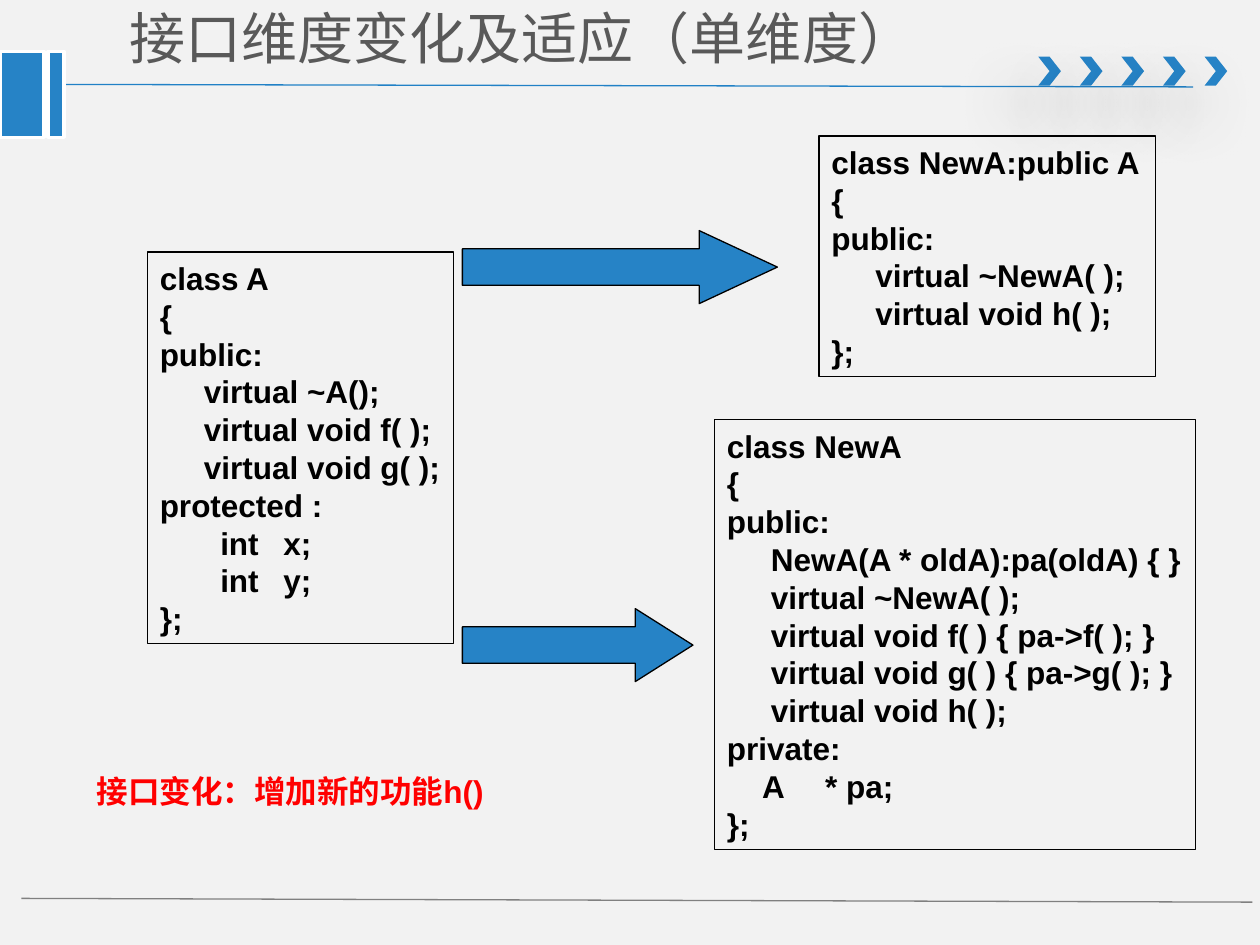
from lxml import etree
from pptx import Presentation
from pptx.dml.color import RGBColor
from pptx.enum import shapes, text
from pptx.oxml import ns
from pptx.util import Inches, Pt

BACKGROUND = RGBColor(0xF2, 0xF2, 0xF2)
BLUE = RGBColor(0x26, 0x83, 0xC6)
RULE_BLUE = RGBColor(0x21, 0x81, 0xC6)
GREY = RGBColor(0x80, 0x80, 0x80)
TITLE_GREY = RGBColor(0x59, 0x59, 0x59)
BLACK = RGBColor(0, 0, 0)
WHITE = RGBColor(0xFF, 0xFF, 0xFF)
RED = RGBColor(0xFF, 0, 0)
CJK_FONT = "Noto Sans CJK SC"
SHAPE = shapes.MSO_SHAPE

# Code lines are strings, or (text, indent) or (text, indent, tab stop) in inches
CLASS_A = [
    "class A", "{", "public:",
    ("virtual ~A();", 0.35),
    ("virtual void f( );", 0.35),
    ("virtual void g( );", 0.35),
    "protected :",
    ("int\tx;", 0.48, 1.07),
    ("int\ty;", 0.48, 1.07),
    "};",
]
NEW_A_BY_INHERITANCE = [
    "class NewA:public A", "{", "public:",
    ("virtual ~NewA( );", 0.35),
    ("virtual void h( );", 0.35),
    "};",
]
NEW_A_BY_DELEGATION = [
    "class NewA", "{", "public:",
    ("NewA(A * oldA):pa(oldA) { }", 0.35),
    ("virtual ~NewA( );", 0.35),
    ("virtual void f( ) { pa->f( ); }", 0.35),
    ("virtual void g( ) { pa->g( ); }", 0.35),
    ("virtual void h( );", 0.35),
    "private:",
    ("A\t* pa;", 0.28, 0.65),
    "};",
]


def add_child(parent, tag, **attributes):
    child = etree.SubElement(parent, ns.qn(tag))
    for name, value in attributes.items():
        child.set(name, str(value))
    return child


def write_text(paragraph, words, size=18, color=BLACK, bold=True,
               font="Arial", indent=0, tab=None):
    paragraph.alignment = text.PP_ALIGN.LEFT
    properties = paragraph._p.get_or_add_pPr()
    properties.set("marL", str(Inches(indent)))
    properties.set("indent", "0")
    if tab:
        stops = add_child(properties, "a:tabLst")
        add_child(stops, "a:tab", pos=Inches(tab), algn="l")
    run = paragraph.add_run()
    run.text = words
    run.font.size = Pt(size)
    run.font.bold = bold
    run.font.name = font
    run.font.color.rgb = color
    add_child(run._r.get_or_add_rPr(), "a:ea", typeface=CJK_FONT)


def add_block(slide, kind, left, top, width, height, fill=None, line=None, weight=0.75):
    block = slide.shapes.add_shape(
        kind, Inches(left), Inches(top), Inches(width), Inches(height))
    block.shadow.inherit = False
    if fill is None:
        block.fill.background()
    else:
        block.fill.solid()
        block.fill.fore_color.rgb = fill
    if line is None:
        block.line.fill.background()
    else:
        block.line.color.rgb = line
        block.line.width = Pt(weight)
    return block


def add_rule(slide, start, end, color):
    rule = slide.shapes.add_connector(
        shapes.MSO_CONNECTOR.STRAIGHT, *map(Inches, start + end))
    rule.line.color.rgb = color
    rule.line.width = Pt(0.75)
    add_child(rule._element.spPr, "a:effectLst")


def add_chevron(slide, left):
    chevron = add_block(slide, SHAPE.CHEVRON, left, 0.45, 0.18, 0.23, BLUE)
    effects = chevron._element.spPr.find(ns.qn("a:effectLst"))
    shadow = add_child(effects, "a:outerShdw", blurRad=Pt(36), dist=Pt(24),
                       dir=130 * 60000, rotWithShape=0)
    color = add_child(shadow, "a:srgbClr", val=BLACK)
    add_child(color, "a:alpha", val=38000)


def add_code_box(slide, left, top, width, height, lines):
    box = add_block(slide, SHAPE.RECTANGLE, left, top, width, height, line=BLACK)
    frame = box.text_frame
    frame.word_wrap = True
    frame.margin_right = 0
    frame.vertical_anchor = text.MSO_ANCHOR.MIDDLE
    for number, line in enumerate(lines):
        words, indent, tab = ((line,) if isinstance(line, str) else line) + (0, None) \
            if isinstance(line, str) else (line + (None,))[:3]
        paragraph = frame.add_paragraph() if number else frame.paragraphs[0]
        write_text(paragraph, words, indent=indent, tab=tab)


def add_arrow(slide, top, width, head):
    arrow = add_block(slide, SHAPE.RIGHT_ARROW, 3.67, top, width, 0.58, BLUE, BLACK)
    arrow.adjustments[0] = 0.5
    arrow.adjustments[1] = head


def add_label(slide, left, top, width, height, words, margins=(0.1, 0.05),
              anchor=text.MSO_ANCHOR.TOP, **style):
    label = slide.shapes.add_textbox(
        Inches(left), Inches(top), Inches(width), Inches(height))
    frame = label.text_frame
    frame.word_wrap = True
    frame.vertical_anchor = anchor
    frame.margin_left = frame.margin_right = Inches(margins[0])
    frame.margin_top = frame.margin_bottom = Inches(margins[1])
    write_text(frame.paragraphs[0], words, **style)


def main():
    deck = Presentation()
    deck.slide_width, deck.slide_height = Inches(10), Inches(7.5)
    slide = deck.slides.add_slide(deck.slide_layouts[6])
    slide.background.fill.solid()
    slide.background.fill.fore_color.rgb = BACKGROUND

    # Frame: rules, chevrons and side bars
    add_rule(slide, (0.4, 0.67), (9.47, 0.69), RULE_BLUE)
    for step in range(5):
        add_chevron(slide, 8.24 + 0.33 * step)
    add_rule(slide, (0.17, 7.13), (9.94, 7.16), GREY)
    for left, width in ((0, 0.35), (0.38, 0.13)):
        add_block(slide, SHAPE.RECTANGLE, left, 0.41, width, 0.68, BLUE, WHITE, 2)

    # Title
    add_label(slide, 0.89, 0.02, 8.26, 0.55, "接口维度变化及适应（单维度）",
              margins=(0.14, 0.07), anchor=text.MSO_ANCHOR.MIDDLE,
              size=32, color=TITLE_GREY, bold=False, font=CJK_FONT)

    # Original class and its two adaptations
    add_code_box(slide, 1.17, 2, 2.43, 3.11, CLASS_A)
    add_code_box(slide, 6.5, 1.08, 2.67, 1.91, NEW_A_BY_INHERITANCE)
    add_code_box(slide, 5.67, 3.33, 3.82, 3.41, NEW_A_BY_DELEGATION)
    add_arrow(slide, 1.83, 2.5, 1.07)
    add_arrow(slide, 4.83, 1.83, 0.79)

    # Remark
    add_label(slide, 0.67, 6.08, 4.58, 0.4, "接口变化：增加新的功能h()", color=RED)

    deck.save("out.pptx")


if __name__ == "__main__":
    main()
